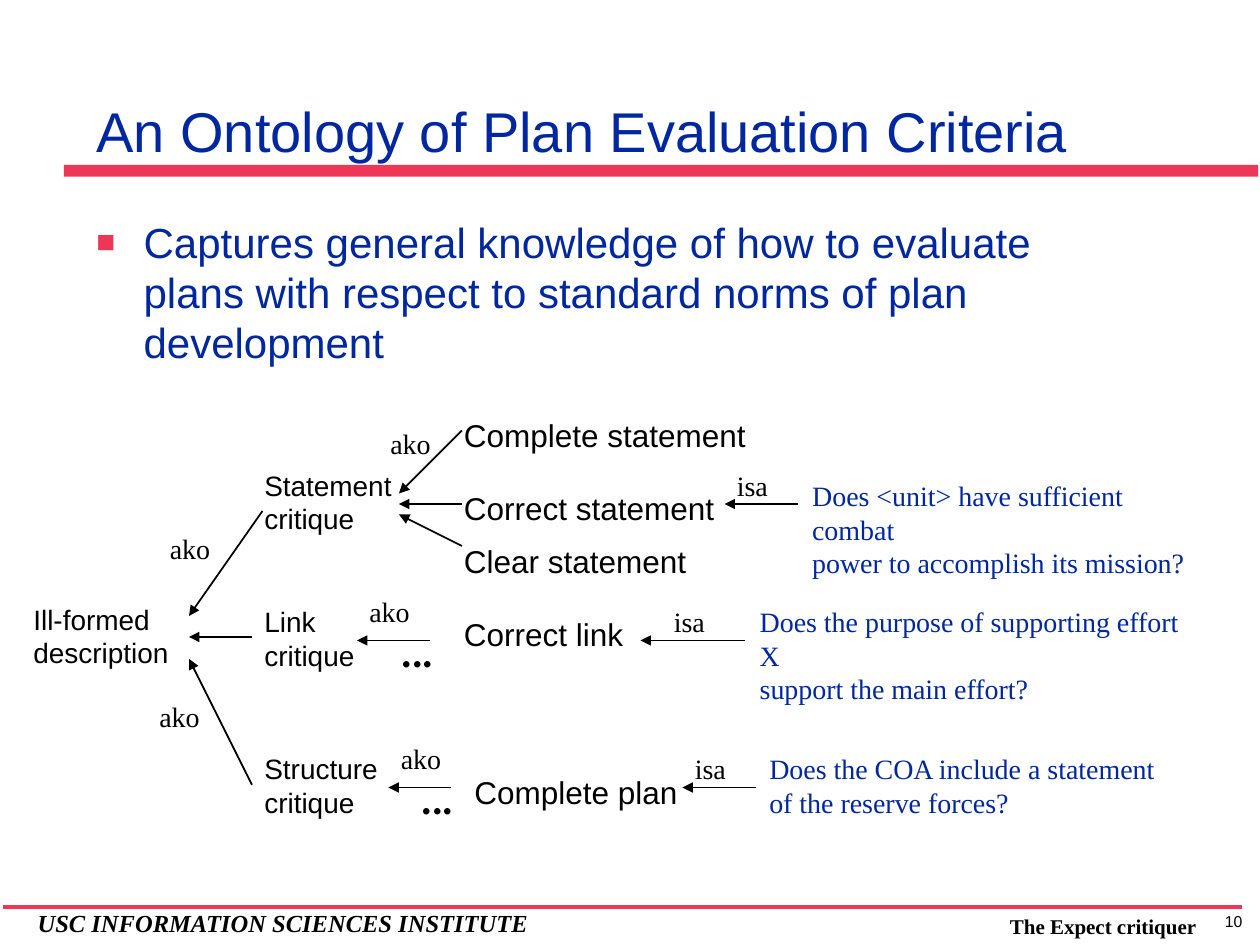
from lxml import etree
from pptx import Presentation
from pptx.dml.color import RGBColor
from pptx.enum import shapes, text
from pptx.oxml import ns
from pptx.util import Pt

RED = RGBColor(0xEE, 0x37, 0x57)
BLUE = RGBColor(0x00, 0x27, 0x9F)
BLACK = RGBColor(0, 0, 0)
SANS, SERIF, DOTS = "Arial", "Times New Roman", "TeX Gyre Pagella"

prs = Presentation()
prs.slide_width, prs.slide_height = Pt(720), Pt(540)
slide = prs.slides.add_slide(prs.slide_layouts[6])


def write(words, x, y, w, h, size, face=SANS, color=BLACK, bold=False):
    box = slide.shapes.add_textbox(Pt(x), Pt(y), Pt(w), Pt(h))
    frame = box.text_frame
    frame.text = words
    frame.word_wrap = True
    for para in frame.paragraphs:
        for run in para.runs:
            font = run.font
            font.size, font.name, font.bold = Pt(size), face, bold
            font.color.rgb = color
    return frame


def link(x1, y1, x2, y2, color=BLACK, width=1, head=True):
    """Draw a line; its arrowhead sits at the first point."""
    line = slide.shapes.add_connector(
        shapes.MSO_CONNECTOR.STRAIGHT, Pt(x1), Pt(y1), Pt(x2), Pt(y2))
    line.line.color.rgb = color
    line.line.width = Pt(width)
    if head:
        etree.SubElement(line.line._get_or_add_ln(), ns.qn("a:headEnd"), type="triangle")
    etree.SubElement(line._element.spPr, ns.qn("a:effectLst"))


# Frame of the slide
bar = slide.shapes.add_shape(
    shapes.MSO_SHAPE.RECTANGLE, Pt(36.5), Pt(94.3), Pt(682.5), Pt(6.7))
bar.shadow.inherit = False
bar.fill.solid()
bar.fill.fore_color.rgb = RED
bar.line.fill.background()

page = write("10", 690, 517.5, 30, 18, 9)
page.paragraphs[0].alignment = text.PP_ALIGN.CENTER
link(710, 518.4, 1.5, 518.4, RED, 2, head=False)
house = write("USC INFORMATION SCIENCES INSTITUTE", 14.4, 515.5, 314, 24, 14, SERIF,
              bold=True)
house.paragraphs[0].runs[0].font.italic = True
write("The Expect critiquer", 570, 518.4, 126, 21.6, 12, SERIF, bold=True)

# Title and bullet
title = write("An Ontology of Plan Evaluation Criteria", 48, 6.5, 611, 90.7, 32,
              color=BLUE)
title.vertical_anchor = text.MSO_ANCHOR.BOTTOM
body = write("Captures general knowledge of how to evaluate plans with respect to "
             "standard norms of plan development", 48, 120, 611, 330, 24, color=BLUE)
props = body.paragraphs[0]._p.get_or_add_pPr()
props.set("marL", str(Pt(27)))
props.set("indent", str(-Pt(27)))
tint = etree.SubElement(props, ns.qn("a:buClr"))
etree.SubElement(tint, ns.qn("a:srgbClr"), val=str(RED))
etree.SubElement(props, ns.qn("a:buSzPct"), val="75000")
etree.SubElement(props, ns.qn("a:buFont"), typeface=SANS)
etree.SubElement(props, ns.qn("a:buChar"), char="■")

# Critique classes
for words, x, y, w in [
    ("Ill-formed\ndescription", 12, 340.5, 96),
    ("Statement\ncritique", 144, 264, 92),
    ("Link\ncritique", 144, 342, 70),
    ("Structure\ncritique", 144, 426, 84),
]:
    write(words, x, y, w, 46, 16)

# Criteria
for words, x, y, w in [
    ("Complete statement", 258, 234, 180),
    ("Correct statement", 258, 276, 162),
    ("Clear statement", 258, 306, 146),
    ("Correct link", 258, 348, 110),
    ("Complete plan", 264, 438, 135),
]:
    write(words, x, y, w, 29, 18)

# Questions
for words, x, y, w in [
    ("Does <unit> have sufficient combat\npower to accomplish its mission?", 457, 270, 234),
    ("Does the purpose of supporting effort X\nsupport the main effort?", 427, 342, 259),
    ("Does the COA include a statement\nof the reserve forces?", 432.5, 426, 240),
]:
    write(words, x, y, w, 46, 16, SERIF, BLUE)

# Relations
for x, y in [(90, 300), (84, 396), (216, 240), (204, 336), (222, 420)]:
    write("ako", x, y, 42, 26.5, 16, SERIF)
for x, y in [(414, 264), (378, 342), (390, 426)]:
    write("isa", x, y, 36, 26.5, 16, SERIF)
for x, y in [(222.5, 354), (234, 438)]:
    write("...", x, y, 36, 36, 24, DOTS, bold=True)

for ends in [
    (108, 352, 150, 292), (108, 364, 144, 364), (108, 376.5, 144, 448.5),
    (228, 282, 264, 246), (228, 288, 264, 288), (228, 294, 264, 312),
    (204, 366, 246, 366), (222, 450, 258, 450),
    (414, 288, 456, 288), (366, 366, 426, 366), (390, 450, 432, 450),
]:
    link(*ends)

prs.save("out.pptx")
